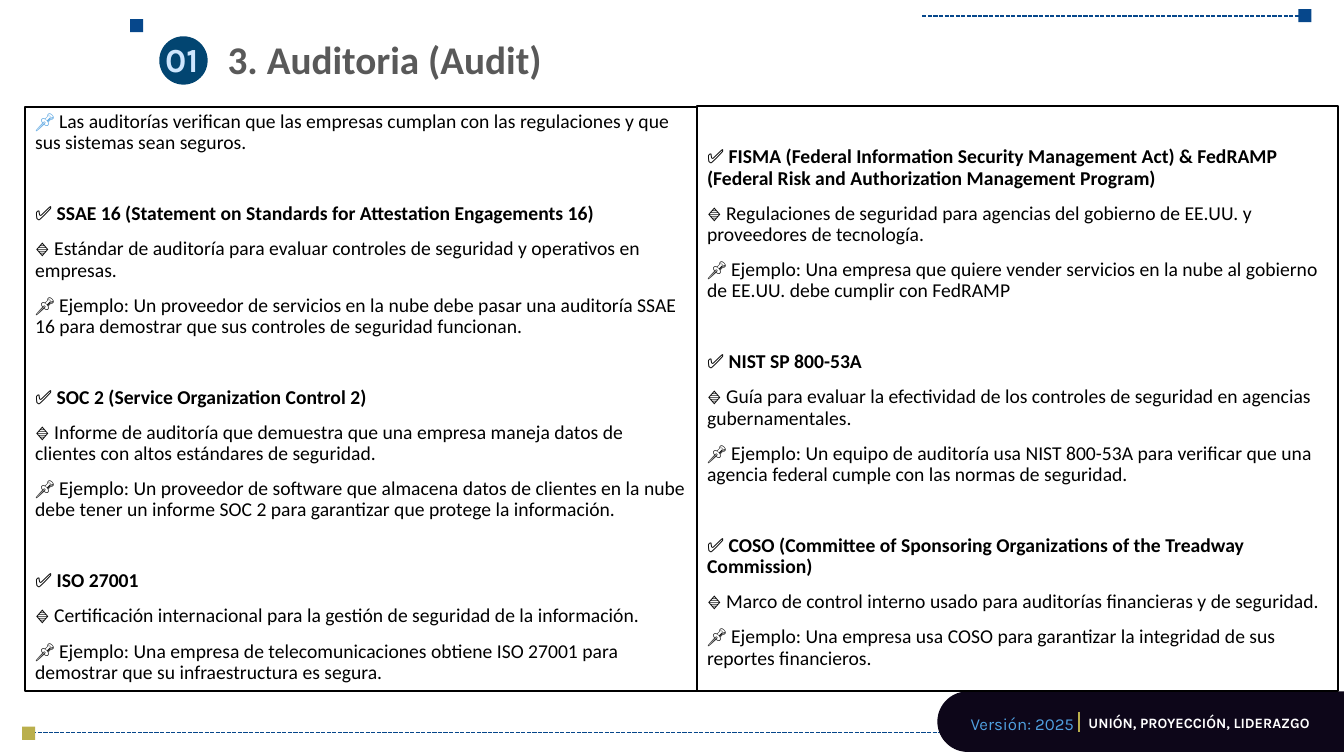
import math
from dataclasses import dataclass

from lxml import etree
from pptx import Presentation
from pptx import util as u
from pptx.dml.color import RGBColor
from pptx.enum import dml, shapes, text
from pptx.oxml.ns import qn

COLUMNS, ROWS = 160, 90


@dataclass(frozen=True)
class Theme:
    body_font: str = "Calibri"
    brand_font: str = "Karla"
    white: str = "FFFFFF"
    black: str = "000000"
    gray: str = "595959"
    blue: str = "06478B"
    badge: str = "024571"
    badge_text: str = "CEE6FE"
    sky: str = "50A0E0"
    gold: str = "BAAF4C"
    night: str = "0D0619"
    title_size: float = 28
    badge_size: float = 24
    body_size: float = 14
    version_size: float = 12
    motto_size: float = 10.2
    paragraph_gap: float = 10
    topic_gap: float = 35.4
    body_spacing: float = 0.9


class SlideBuilder:
    """Draws on one slide; every length is in grid columns or rows."""

    def __init__(self, deck, theme):
        self.theme = theme
        self.column = deck.slide_width / COLUMNS
        self.row = deck.slide_height / ROWS
        self.page = deck.slides.add_slide(deck.slide_layouts[6])

    def x(self, columns):
        return u.Emu(round(columns * self.column))

    def y(self, rows):
        return u.Emu(round(rows * self.row))

    def area(self, left, top, width, height):
        return self.x(left), self.y(top), self.x(width), self.y(height)

    def paint(self, shape, fill, line=None, weight=1.5):
        shape.shadow.inherit = False
        shape.fill.solid()
        shape.fill.fore_color.rgb = RGBColor.from_string(fill)
        if line:
            shape.line.color.rgb = RGBColor.from_string(line)
            shape.line.width = u.Pt(weight)
        else:
            shape.line.fill.background()
        return shape

    def shape(self, kind, left, top, width, height, fill, line=None):
        area = self.area(left, top, width, height)
        return self.paint(self.page.shapes.add_shape(kind, *area), fill, line)

    def square(self, left, top, fill):
        return self.shape(shapes.MSO_SHAPE.RECTANGLE, left, top, 1.56, 1.56, fill)

    def line(self, start, end, color, weight=1, dashed=False):
        (x1, y1), (x2, y2) = start, end
        line = self.page.shapes.add_connector(
            shapes.MSO_CONNECTOR.STRAIGHT, self.x(x1), self.y(y1), self.x(x2), self.y(y2))
        line.line.color.rgb = RGBColor.from_string(color)
        line.line.width = u.Pt(weight)
        if dashed:
            line.line.dash_style = dml.MSO_LINE.SQUARE_DOT
        etree.SubElement(line._element.spPr, qn("a:effectLst"))

    def tab(self, left, top, height, fill):
        """Band with a round left end that runs to the right edge of the slide."""
        radius = height / 2
        angles = [math.radians(degrees) for degrees in range(90, 271, 5)]
        arc = [(self.x(left + radius + radius * math.cos(angle)),
                self.y(top + radius + radius * math.sin(angle))) for angle in angles]
        outline = self.page.shapes.build_freeform(self.x(COLUMNS), self.y(top + height))
        outline.add_line_segments(arc + [(self.x(COLUMNS), self.y(top))])
        self.paint(outline.convert_to_shape(), fill)

    def style(self, para, font, size, color, bold=False):
        para.alignment = text.PP_ALIGN.LEFT
        para.font.name = font
        para.font.size = u.Pt(size)
        para.font.bold = bold
        para.font.color.rgb = RGBColor.from_string(color)

    def label(self, words, left, top, width, height, font, size, color,
              bold=False, spacing=1.0):
        box = self.page.shapes.add_textbox(*self.area(left, top, width, height))
        box.text_frame.word_wrap = True
        para = box.text_frame.paragraphs[0]
        para.line_spacing = spacing
        para.add_run().text = words
        self.style(para, font, size, color, bold)

    def panel(self, left, top, width, height, topics, intro=None, inset=0.6):
        """Framed column of topics, each a bold heading and its details."""
        theme = self.theme
        box = self.shape(shapes.MSO_SHAPE.RECTANGLE, left, top, width, height,
                         theme.white, theme.black)
        frame = box.text_frame
        frame.word_wrap = True
        frame.vertical_anchor = text.MSO_ANCHOR.TOP
        frame.margin_top = self.y(inset)
        entries = [("📌", intro, False, 0)] if intro else []
        for heading, detail, example in topics:
            entries += [("✅", heading, True, theme.topic_gap),
                        ("🔹", detail, False, theme.paragraph_gap),
                        ("📌", f"Ejemplo: {example}", False, theme.paragraph_gap)]
        for index, (icon, words, bold, gap) in enumerate(entries):
            para = frame.add_paragraph() if index else frame.paragraphs[0]
            para.line_spacing = theme.body_spacing
            para.space_before = u.Pt(gap if index else 0)
            self.style(para, theme.body_font, theme.body_size, theme.black, bold)
            span = para.add_run()
            span.text = f"{icon} "
            if words == intro:
                span.font.color.rgb = RGBColor.from_string(theme.sky)
            para.add_run().text = words


INTRO = ("Las auditorías verifican que las empresas cumplan con las regulaciones "
         "y que sus sistemas sean seguros.")
GENERAL_TOPICS = [
    ("SSAE 16 (Statement on Standards for Attestation Engagements 16)",
     "Estándar de auditoría para evaluar controles de seguridad y operativos en empresas.",
     "Un proveedor de servicios en la nube debe pasar una auditoría SSAE 16 para "
     "demostrar que sus controles de seguridad funcionan."),
    ("SOC 2 (Service Organization Control 2)",
     "Informe de auditoría que demuestra que una empresa maneja datos de clientes "
     "con altos estándares de seguridad.",
     "Un proveedor de software que almacena datos de clientes en la nube debe tener "
     "un informe SOC 2 para garantizar que protege la información."),
    ("ISO 27001",
     "Certificación internacional para la gestión de seguridad de la información.",
     "Una empresa de telecomunicaciones obtiene ISO 27001 para demostrar que su "
     "infraestructura es segura."),
]
GOVERNMENT_TOPICS = [
    ("FISMA (Federal Information Security Management Act) & FedRAMP "
     "(Federal Risk and Authorization Management Program)",
     "Regulaciones de seguridad para agencias del gobierno de EE.UU. y "
     "proveedores de tecnología.",
     "Una empresa que quiere vender servicios en la nube al gobierno de EE.UU. "
     "debe cumplir con FedRAMP"),
    ("NIST SP 800-53A",
     "Guía para evaluar la efectividad de los controles de seguridad en agencias "
     "gubernamentales.",
     "Un equipo de auditoría usa NIST 800-53A para verificar que una agencia federal "
     "cumple con las normas de seguridad."),
    ("COSO (Committee of Sponsoring Organizations of the Treadway Commission)",
     "Marco de control interno usado para auditorías financieras y de seguridad.",
     "Una empresa usa COSO para garantizar la integridad de sus reportes financieros."),
]


def main():
    deck = Presentation()
    deck.slide_width, deck.slide_height = u.Inches(13.33), u.Inches(7.5)
    theme = Theme()
    slide = SlideBuilder(deck, theme)

    slide.line((3.84, 87.24), (154.56, 87.24), theme.blue, dashed=True)
    slide.square(2.64, 86.52, theme.gold)
    slide.line((109.8, 1.92), (155.4, 1.92), theme.blue, dashed=True)
    slide.square(154.56, 1.08, theme.blue)
    slide.square(15.48, 2.28, theme.blue)

    slide.tab(111.6, 82.32, 7.2, theme.night)
    slide.label("Versión: 2025", 114.36, 84.6, 23.52, 3.96, theme.brand_font,
                theme.version_size, theme.sky, spacing=0.9)
    slide.label("UNIÓN, PROYECCIÓN, LIDERAZGO", 128.4, 84.84, 30.36, 3.96,
                theme.brand_font, theme.motto_size, theme.white, bold=True, spacing=0.8)
    slide.line((128.4, 84.72), (128.4, 87.12), theme.gold, weight=1.5)

    slide.shape(shapes.MSO_SHAPE.OVAL, 18.96, 4.32, 5.76, 5.76, theme.badge)
    slide.label("01", 18.48, 4.08, 6.96, 6, theme.brand_font, theme.badge_size,
                theme.badge_text, bold=True)
    slide.label("3. Auditoria (Audit)", 25.92, 3.6, 80, 6.84, theme.body_font,
                theme.title_size, theme.gray, bold=True)

    slide.panel(3, 12.72, 80, 69.6, GENERAL_TOPICS, intro=INTRO)
    slide.panel(83, 12.6, 76.32, 69.72, GOVERNMENT_TOPICS, inset=4.9)
    deck.save("out.pptx")


if __name__ == "__main__":
    main()
